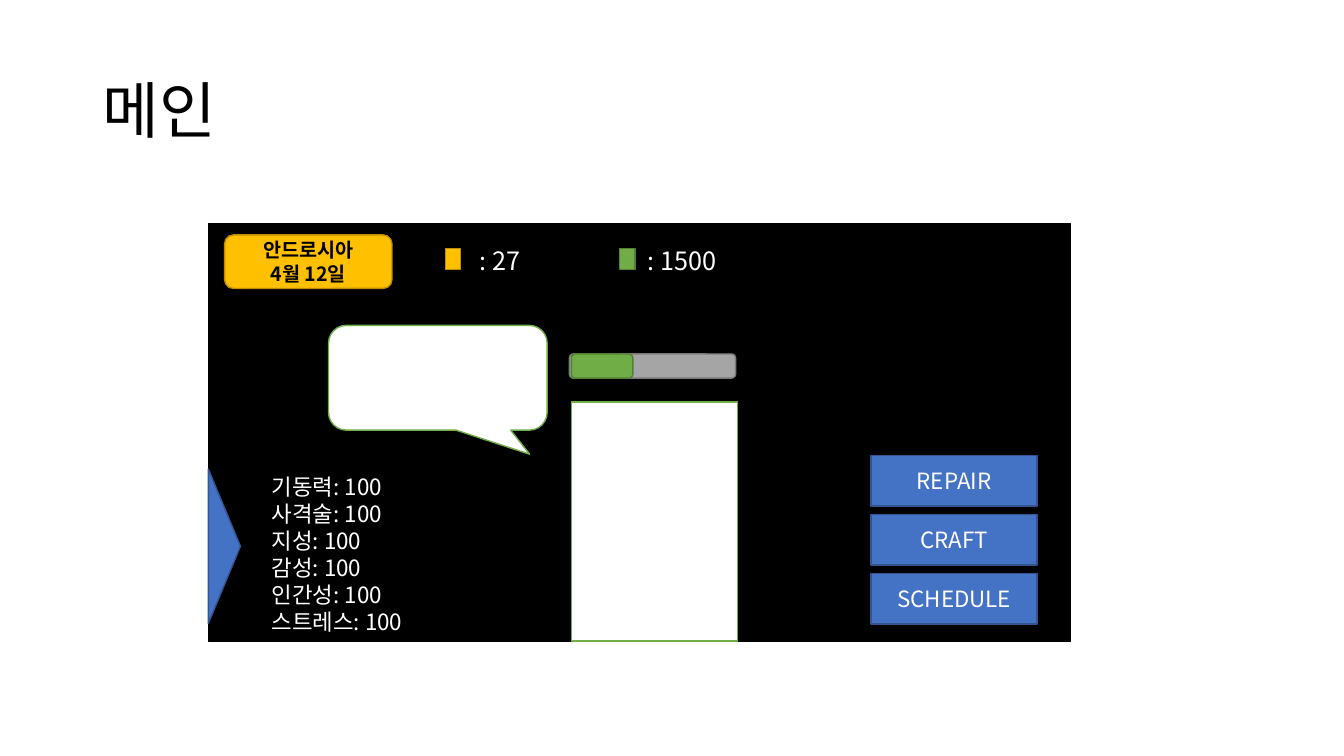
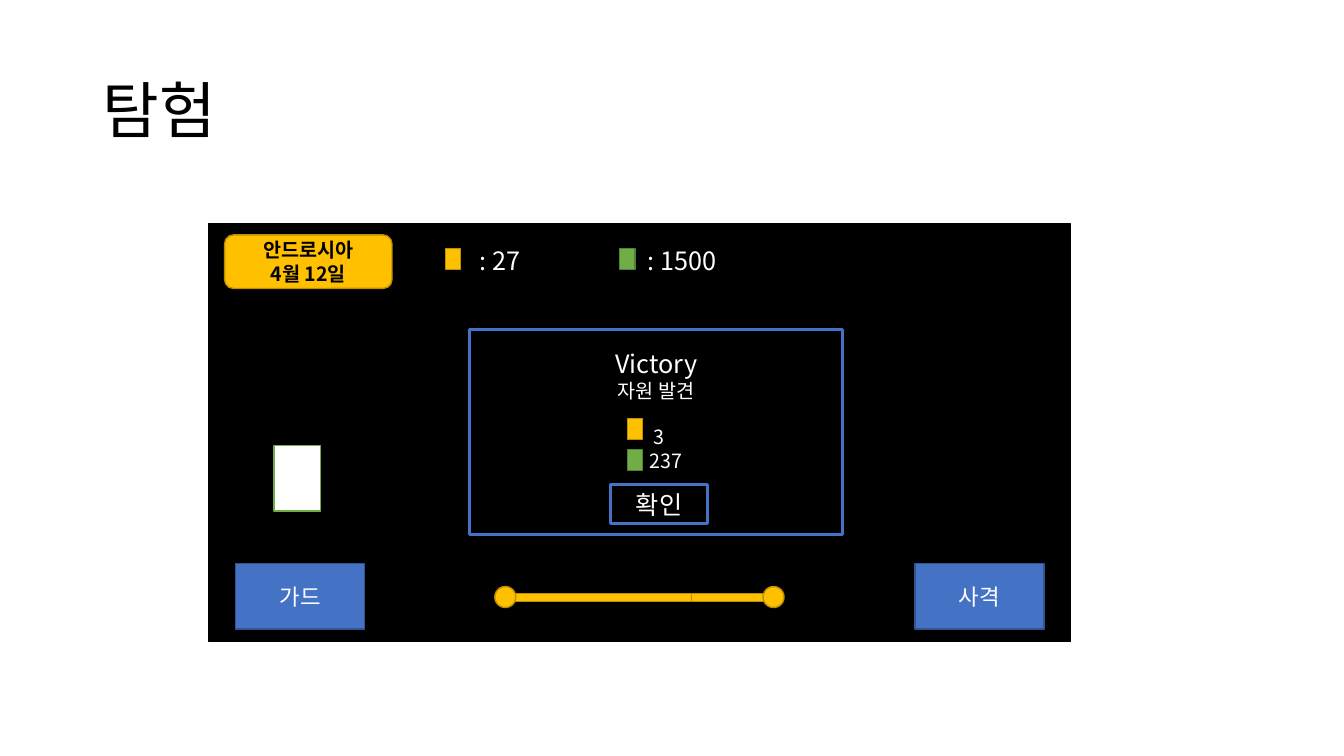
from lxml import etree
from pptx import Presentation
from pptx.dml.color import RGBColor
from pptx.enum import shapes as sh, text as tx
from pptx.oxml import ns
from pptx.util import Cm, Pt

FONT = "Noto Sans CJK KR"
BLACK, WHITE = "000000", "FFFFFF"
BLUE, GOLD, GREEN, GRAY = "4472C4", "FFC000", "70AD47", "A5A5A5"
EDGE = {BLUE: "325491", GOLD: "BD8E00", GREEN: "538035", GRAY: "7A7A7A",
        WHITE: GREEN, BLACK: BLACK}
KIND = sh.MSO_SHAPE
MID, TOP = tx.MSO_ANCHOR.MIDDLE, tx.MSO_ANCHOR.TOP
LEFT, CENTER = tx.PP_ALIGN.LEFT, tx.PP_ALIGN.CENTER


def color(value):
    return RGBColor.from_string(value)


def write(frame, text, sizes, ink=WHITE, bold=False, align=CENTER, anchor=MID):
    frame.text = text
    frame.word_wrap = True
    frame.vertical_anchor = anchor
    lines = frame.paragraphs
    if isinstance(sizes, int):
        sizes = [sizes] * len(lines)
    for line, size in zip(lines, sizes):
        line.alignment = align
        for run in line.runs:
            font = run.font
            font.name, font.size, font.bold = FONT, Pt(size), bold
            font.color.rgb = color(ink)
            asian = etree.SubElement(font._element, ns.qn("a:ea"))
            asian.set("typeface", FONT)


def shape(pool, box, fill, kind=KIND.RECTANGLE, edge=None, width=1):
    item = pool.add_shape(kind, *map(Cm, box))
    item.shadow.inherit = False
    item.fill.solid()
    item.fill.fore_color.rgb = color(fill)
    item.line.color.rgb = color(edge or EDGE[fill])
    item.line.width = Pt(width)
    return item


def label(pool, box, text, size):
    frame = pool.add_textbox(*map(Cm, box)).text_frame
    write(frame, text, size, align=LEFT, anchor=TOP)


def button(pool, box, text):
    write(shape(pool, box, BLUE).text_frame, text, 16)


def token(pool, left, top, fill):
    shape(pool, (left, top, 0.38, 0.53), fill)


def screen(deck, name):
    slide = deck.slides.add_slide(deck.slide_layouts[5])
    title = slide.shapes.title
    title.left, title.top, title.width, title.height = map(Cm, (2.33, 1.01, 29.21, 3.68))
    write(title.text_frame, name, 44, BLACK, align=LEFT)
    title.text_frame.paragraphs[0].line_spacing = 0.9
    pool = slide.shapes
    shape(pool, (5.26, 5.64, 21.72, 10.52), BLACK)
    badge = shape(pool, (5.66, 5.92, 4.22, 1.35), GOLD, KIND.ROUNDED_RECTANGLE)
    write(badge.text_frame, "안드로시아\n4월 12일", 14, BLACK, bold=True)
    for fill, left, start, text in ((GOLD, 11.23, 11.84, ": 27"),
                                    (GREEN, 15.62, 16.08, ": 1500")):
        token(pool, left, 6.27, fill)
        label(pool, (start, 6.05, 3.51, 1.02), text, 18)
    return pool


def home(deck):
    pool = screen(deck, "메인")
    speech = shape(pool, (8.28, 8.2, 5.51, 2.64), WHITE, KIND.ROUNDED_RECTANGULAR_CALLOUT)
    for spot, value in enumerate((0.42, 0.73, 0.17)):
        speech.adjustments[spot] = value
    shape(pool, (14.4, 10.13, 4.19, 6.02), WHITE)
    stats = "기동력", "사격술", "지성", "감성", "인간성", "스트레스"
    label(pool, (6.6, 11.81, 7.8, 4.37), "\n".join(f"{stat}: 100" for stat in stats), 16)
    arrow = shape(pool, (3.71, 13.36, 3.89, 0.81), BLUE, KIND.ISOSCELES_TRIANGLE)
    arrow.rotation = 90
    for row, text in enumerate(("REPAIR", "CRAFT", "SCHEDULE")):
        button(pool, (21.95, 11.48 + 1.49 * row, 4.19, 1.27), text)
    for left, width, fill in ((14.35, 4.19, GRAY), (14.4, 1.55, GREEN)):
        shape(pool, (left, 8.92, width, 0.61), fill, KIND.ROUNDED_RECTANGLE)


def slider(pool):
    group = pool.add_group_shape().shapes
    for rail, knob in ((6.6, 19.23), (4.55, 12.47)):
        shape(group, (12.88, 14.96, rail, 0.2), GOLD)
        shape(group, (knob, 14.78, 0.53, 0.53), GOLD, KIND.OVAL)


def result(pool):
    panel = shape(pool, (11.84, 8.31, 9.4, 5.16), BLACK, edge=BLUE, width=2.25)
    frame = panel.text_frame
    write(frame, "Victory\n자원 발견\n3\n237", (18, 14, 14, 14), anchor=TOP)
    frame.margin_top = Cm(0.47)
    gold, green = frame.paragraphs[2:]
    gold.space_before = Pt(16.4)
    for line, indent in ((gold, 0.15), (green, 0.5)):
        line._p.get_or_add_pPr().set("marL", str(Cm(indent)))
    token(pool, 15.82, 10.54, GOLD)
    token(pool, 15.82, 11.33, GREEN)
    confirm = shape(pool, (15.39, 12.22, 2.44, 0.97), BLACK, edge=BLUE, width=2.25)
    write(confirm.text_frame, "확인", 18)


def explore(deck):
    pool = screen(deck, "탐험")
    shape(pool, (6.91, 11.23, 1.17, 1.65), WHITE)
    for left, text in ((5.94, "가드"), (23.06, "사격")):
        button(pool, (left, 14.2, 3.25, 1.65), text)
    slider(pool)
    result(pool)


def main():
    deck = Presentation()
    deck.slide_width, deck.slide_height = Cm(33.87), Cm(19.05)
    home(deck)
    explore(deck)
    deck.save("out.pptx")


if __name__ == "__main__":
    main()
